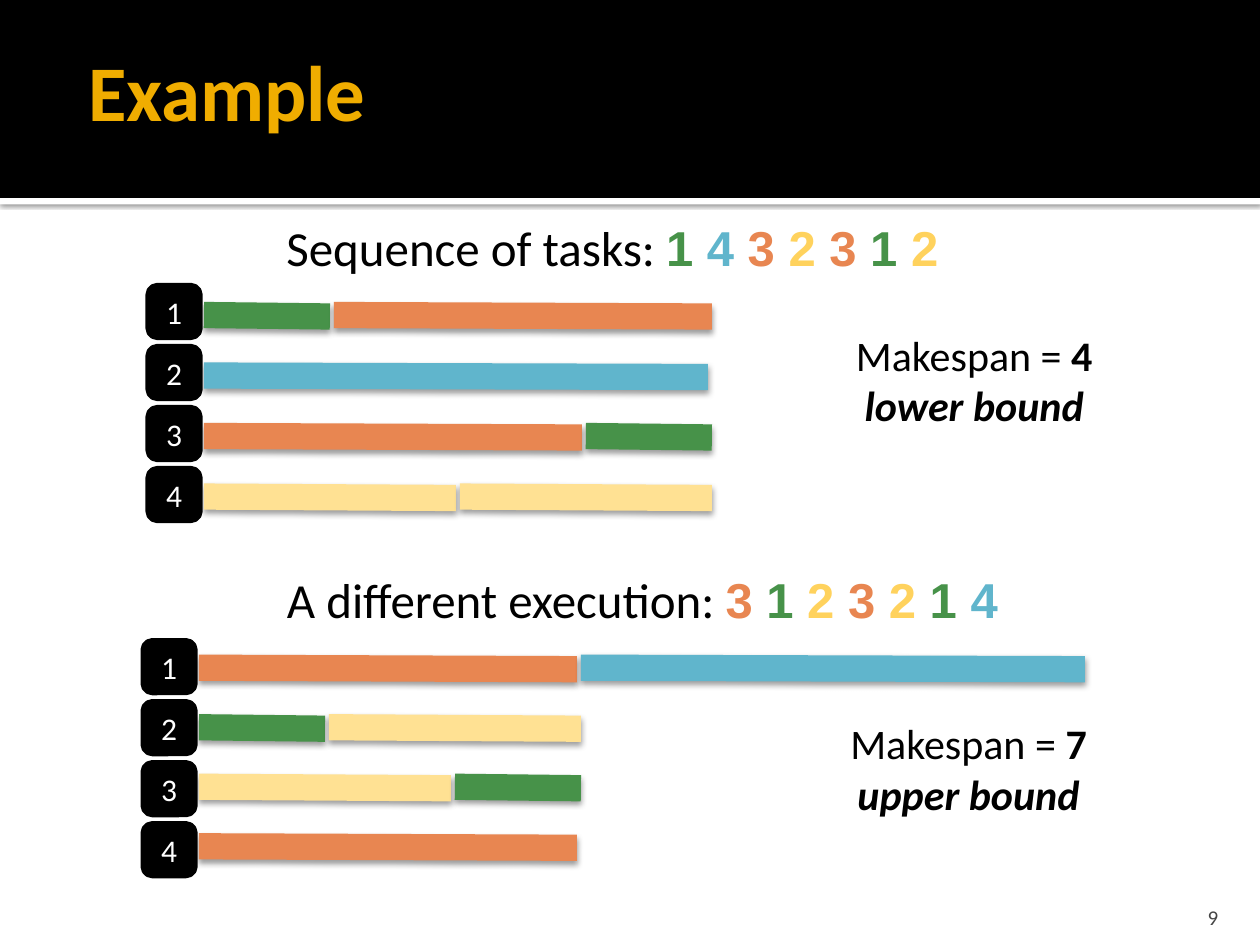
from dataclasses import dataclass

from lxml.etree import SubElement
from pptx import Presentation
from pptx.dml.color import RGBColor
from pptx.enum.shapes import MSO_CONNECTOR, MSO_SHAPE
from pptx.enum.text import MSO_ANCHOR as Anchor, MSO_AUTO_SIZE, PP_ALIGN as Align
from pptx.oxml.ns import qn
from pptx.util import Cm, Pt

BLACK = RGBColor(0x00, 0x00, 0x00)
WHITE = RGBColor(0xFF, 0xFF, 0xFF)
GOLD = RGBColor(0xF0, 0xAD, 0x00)
GRAY = RGBColor(0x45, 0x45, 0x45)
GREEN = RGBColor(0x47, 0x92, 0x49)
YELLOW = RGBColor(0xFF, 0xD2, 0x5D)
PALE_YELLOW = RGBColor(0xFF, 0xE1, 0x93)
ORANGE = RGBColor(0xE8, 0x86, 0x51)
BLUE = RGBColor(0x60, 0xB5, 0xCC)

# A task's number is also its duration.
DIGIT_COLORS = {1: GREEN, 2: YELLOW, 3: ORANGE, 4: BLUE}
BAR_COLORS = {**DIGIT_COLORS, 2: PALE_YELLOW}

# Lengths in centimetres
TIME_UNIT = 2.54
TASK_GAP = 0.08
BAR_TILT = 0.03
MACHINE_SIZE = 1.02
MACHINE_PITCH = 1.23


@dataclass(frozen=True)
class Box:
    left: float
    top: float
    width: float
    height: float

    def lengths(self) -> tuple:
        return Cm(self.left), Cm(self.top), Cm(self.width), Cm(self.height)


@dataclass(frozen=True)
class Schedule:
    heading: str
    order: tuple[int, ...]
    heading_box: Box
    machines_at: tuple[float, float]
    bars_at: tuple[float, float]
    bar_pitch: float
    machines: tuple[tuple[int, ...], ...]
    bound: str
    makespan_box: Box

    def makespan(self) -> int:
        return max(sum(tasks) for tasks in self.machines)


SCHEDULES = (
    Schedule(
        "Sequence of tasks: ", (1, 4, 3, 2, 3, 1, 2), Box(1.7, 4.22, 21.29, 1.5),
        (3, 5.77), (4.11, 6.35), 1.22, ((1, 3), (4,), (3, 1), (2, 2)),
        "lower bound", Box(15.65, 6.38, 7.98, 2.41),
    ),
    Schedule(
        "A different execution: ", (3, 1, 2, 3, 2, 1, 4), Box(1.7, 11.33, 22.5, 1.5),
        (2.9, 12.93), (4.01, 13.46), 1.2, ((3, 4), (1, 2), (2, 1), (3,)),
        "upper bound", Box(15.65, 14.22, 7.75, 2.41),
    ),
)


def add_shadow(shape, blur: float, distance: float, opacity: int) -> None:
    """Add a black shadow falling straight down; blur and distance in points."""
    effects = SubElement(shape._element.spPr, qn("a:effectLst"))
    shadow = SubElement(effects, qn("a:outerShdw"), blurRad=str(Pt(blur)),
                        dist=str(Pt(distance)), dir="5400000", rotWithShape="0")
    color = SubElement(shadow, qn("a:srgbClr"), val=str(BLACK))
    SubElement(color, qn("a:alpha"), val=str(opacity * 1000))


def add_run(paragraph, text: str, size: float, color: RGBColor = BLACK,
            font: str = "Calibri", bold: bool = False, italic: bool = False) -> None:
    run = paragraph.add_run()
    run.text = text
    run.font.size, run.font.name = Pt(size), font
    run.font.bold, run.font.italic = bold, italic
    run.font.color.rgb = color


def add_text_box(slide, box: Box, anchor, align=Align.CENTER):
    text_box = slide.shapes.add_textbox(*box.lengths())
    frame = text_box.text_frame
    frame.word_wrap = True
    frame.vertical_anchor = anchor
    frame.paragraphs[0].alignment = align
    return frame


def add_filled(slide, preset, box: Box, color: RGBColor):
    shape = slide.shapes.add_shape(preset, *box.lengths())
    shape.fill.solid()
    shape.fill.fore_color.rgb = color
    shape.line.fill.background()
    return shape


def add_title(slide) -> None:
    """Lay the black band and its white edge behind the title."""
    edge = add_filled(slide, MSO_SHAPE.RECTANGLE, Box(0, 3.99, 25.4, 0.13), WHITE)
    add_shadow(edge, 2.5, 0.8, 60)
    band = add_filled(slide, MSO_SHAPE.RECTANGLE, Box(0, 0, 25.4, 3.99), BLACK)
    band.shadow.inherit = False
    title = slide.shapes.title
    title._element.addprevious(edge._element)
    title._element.addprevious(band._element)

    title.left, title.top, title.width, title.height = Box(1.52, 0.3, 22.35, 3.02).lengths()
    frame = title.text_frame
    frame.auto_size = MSO_AUTO_SIZE.NONE
    frame.vertical_anchor = Anchor.MIDDLE
    frame.margin_right = Cm(0.13)
    frame.paragraphs[0].alignment = Align.LEFT
    add_run(frame.paragraphs[0], "Example", 45, GOLD, bold=True)


def add_bar(slide, left: float, top: float, task: int) -> None:
    bar = slide.shapes.add_connector(
        MSO_CONNECTOR.STRAIGHT, Cm(left), Cm(top),
        Cm(left + task * TIME_UNIT), Cm(top + BAR_TILT))
    bar.line.color.rgb = BAR_COLORS[task]
    bar.line.width = Pt(15)
    add_shadow(bar, 3.5, 2, 38)


def add_machine(slide, left: float, top: float, number: int) -> None:
    machine = add_filled(slide, MSO_SHAPE.ROUNDED_RECTANGLE,
                         Box(left, top, MACHINE_SIZE, MACHINE_SIZE), BLACK)
    machine.line.color.rgb = BLACK
    machine.line.width = Pt(3.78)
    machine.shadow.inherit = False
    frame = machine.text_frame
    frame.margin_left = frame.margin_right = 0
    frame.vertical_anchor = Anchor.MIDDLE
    frame.paragraphs[0].alignment = Align.CENTER
    add_run(frame.paragraphs[0], str(number), 18, WHITE)


def add_schedule(slide, schedule: Schedule) -> None:
    bars_left, bars_top = schedule.bars_at
    machines_left, machines_top = schedule.machines_at
    for row, tasks in enumerate(schedule.machines):
        left = bars_left
        for task in tasks:
            add_bar(slide, left, bars_top + row * schedule.bar_pitch, task)
            left += task * TIME_UNIT + TASK_GAP
        add_machine(slide, machines_left, machines_top + row * MACHINE_PITCH, row + 1)

    heading = add_text_box(slide, schedule.heading_box, Anchor.MIDDLE).paragraphs[0]
    add_run(heading, schedule.heading, 28)
    for place, task in enumerate(schedule.order, start=1):
        space = " " if place < len(schedule.order) else ""
        add_run(heading, f"{task}{space}", 28, DIGIT_COLORS[task], "Arial", bold=True)

    makespan = add_text_box(slide, schedule.makespan_box, Anchor.BOTTOM)
    add_run(makespan.paragraphs[0], "Makespan =", 24)
    add_run(makespan.paragraphs[0], f" {schedule.makespan()}", 24, bold=True)
    bound = makespan.add_paragraph()
    bound.alignment = Align.CENTER
    add_run(bound, schedule.bound, 24, bold=True, italic=True)


def main() -> None:
    deck = Presentation()
    deck.slide_width, deck.slide_height = Cm(25.4), Cm(19.05)
    slide = deck.slides.add_slide(deck.slide_layouts[5])
    add_title(slide)
    for schedule in SCHEDULES:
        add_schedule(slide, schedule)
    page = add_text_box(slide, Box(22.78, 17.98, 2.03, 0.76), Anchor.BOTTOM, Align.RIGHT)
    page.margin_bottom = 0
    add_run(page.paragraphs[0], "9", 12, GRAY)
    deck.save("out.pptx")


if __name__ == "__main__":
    main()
